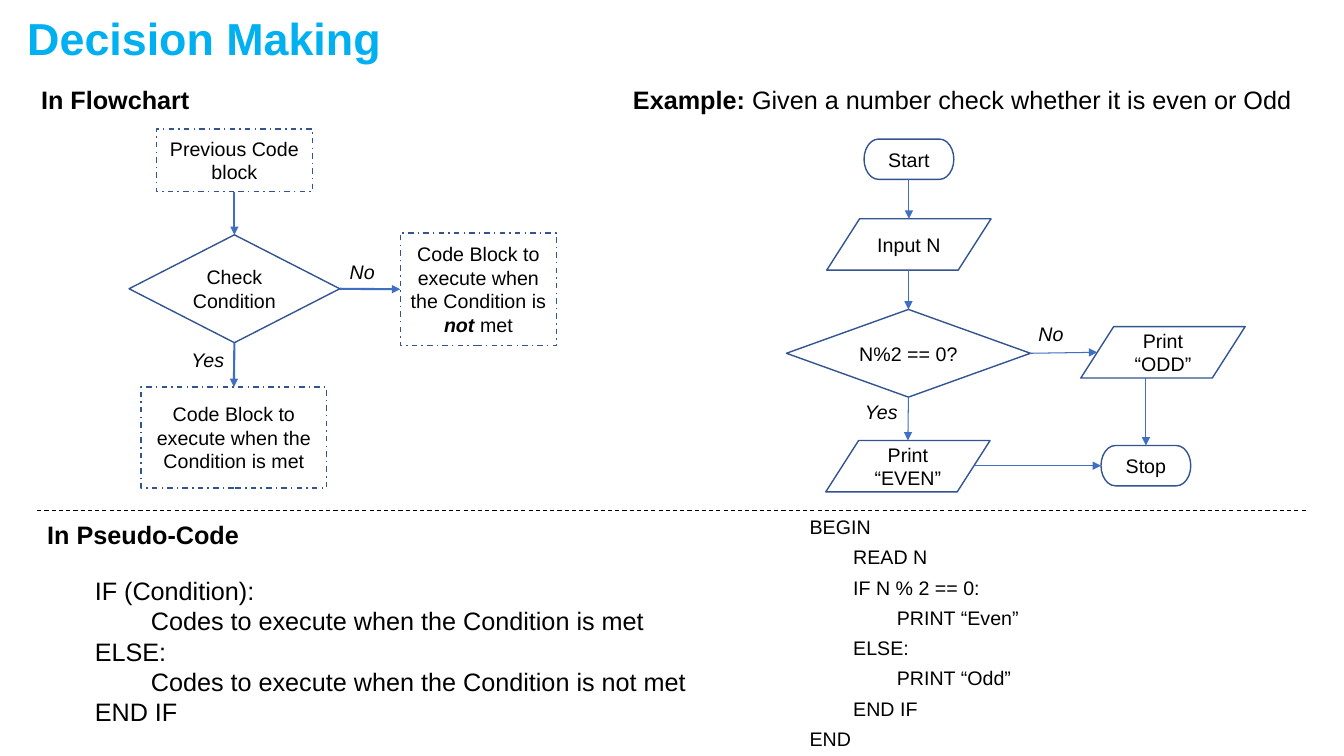
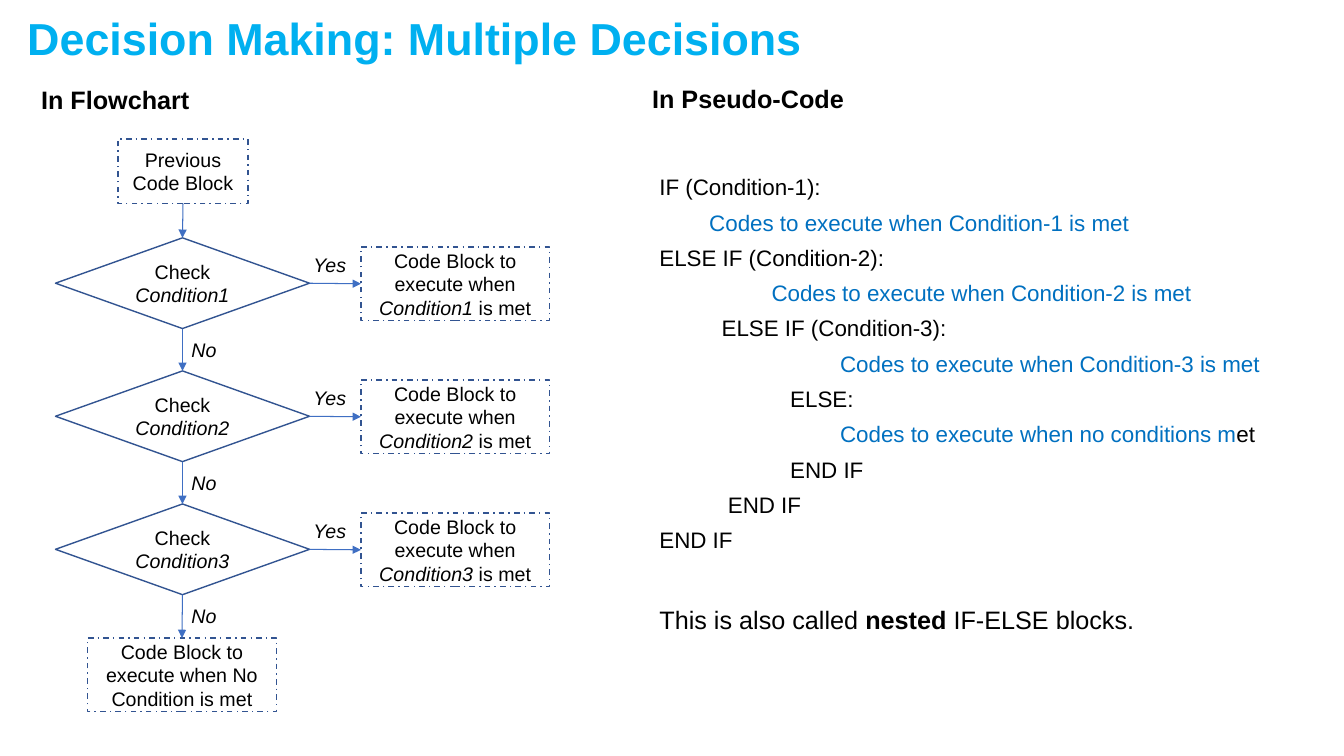
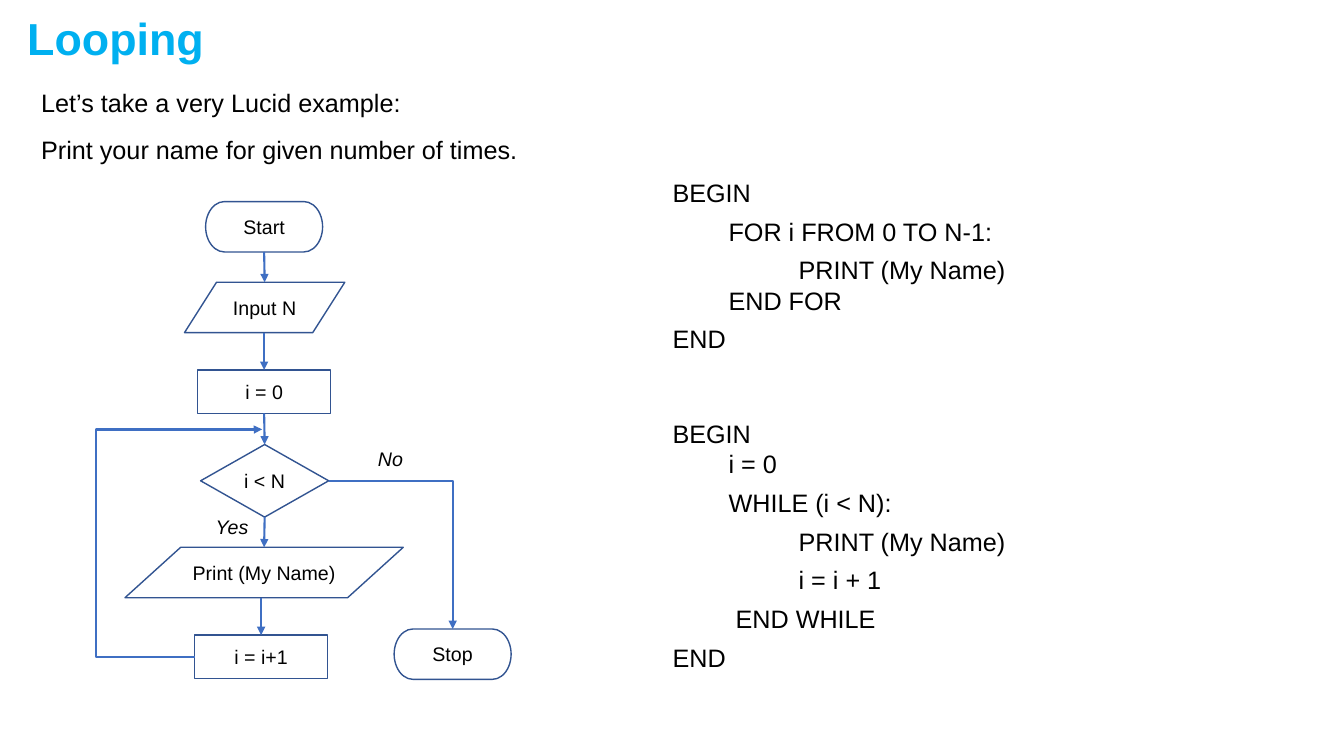
import pptx
import pptx.util
import pptx.dml.color
import pptx.enum.dml
import pptx.enum.shapes
import pptx.enum.text
import pptx.oxml
import lxml.etree

Inches = pptx.util.Inches
Pt = pptx.util.Pt
Kind = pptx.enum.shapes.MSO_SHAPE
Wire = pptx.enum.shapes.MSO_CONNECTOR
Dash = pptx.enum.dml.MSO_LINE
Align = pptx.enum.text.PP_ALIGN
Anchor = pptx.enum.text.MSO_ANCHOR
Fit = pptx.enum.text.MSO_AUTO_SIZE

FONT = "Arial"
BLACK, SKY, BLUE = "000000", "00B0F0", "0070C0"
EDGE, ARROW = "325491", "3F6FC3"
SPACE = 0.278
TOP, LEFT, BOTTOM, RIGHT = range(4)
SLANT = Kind.FLOWCHART_DATA
CHOICE = Kind.FLOWCHART_DECISION
PILL = Kind.FLOWCHART_TERMINATOR
RECT = Kind.RECTANGLE


def color(code):
    return pptx.dml.color.RGBColor.from_string(code)


def child(parent, tag, **attrs):
    node = lxml.etree.SubElement(parent, pptx.oxml.ns.qn(tag))
    for name, value in attrs.items():
        node.set(name, value)
    return node


def move(shape, x, y, w, h):
    shape.left, shape.top = Inches(x), Inches(y)
    shape.width, shape.height = Inches(w), Inches(h)


def fill_line(para, parts, size, align=Align.LEFT, tint=BLACK, bold=False, italic=False):
    para.alignment = align
    font = para.font
    font.name, font.size = FONT, Pt(size)
    font.bold, font.italic = bold, italic
    font.color.rgb = color(tint)
    for part in [parts] if isinstance(parts, str) else parts:
        text, marks = (part, "") if isinstance(part, str) else part
        run = para.add_run()
        run.text = text
        if "b" in marks:
            run.font.bold = True
        if "i" in marks:
            run.font.italic = True
        if "c" in marks:
            run.font.color.rgb = color(BLUE)


def add_text(slide, box, lines, size=18, gap=0, wrap=True, **style):
    shape = slide.shapes.add_textbox(*map(Inches, box))
    frame = shape.text_frame
    frame.word_wrap = wrap
    frame.auto_size = Fit.SHAPE_TO_FIT_TEXT
    for index, parts in enumerate(lines):
        para = frame.add_paragraph() if index else frame.paragraphs[0]
        para.space_before = Pt(gap if index else 0)
        fill_line(para, parts, size, **style)


def add_head(slide, x, y, text):
    add_text(slide, (x, y, 3.46, 0.4), [text], bold=True)


def add_code(slide, slot, box, rows, size=18, gap=0):
    shape = slide.placeholders[slot]
    move(shape, *box)
    frame = shape.text_frame
    frame.word_wrap = True
    frame.auto_size = Fit.NONE
    for index, (indent, parts, *own) in enumerate(rows):
        para = frame.add_paragraph() if index else frame.paragraphs[0]
        para.space_before = Pt(0 if not index else own[0] if own else gap)
        props = para._p.get_or_add_pPr()
        props.set("marL", str(int(Pt(indent * SPACE * size))))
        props.set("indent", "0")
        child(props, "a:buNone")
        fill_line(para, parts, size)


def new_slide(deck, text):
    slide = deck.slides.add_slide(deck.slide_layouts[3])
    title = slide.shapes.title
    move(title, 0.17, 0.06, 10.31, 0.64)
    title.text_frame.vertical_anchor = Anchor.TOP
    title.text_frame.auto_size = Fit.NONE
    fill_line(title.text_frame.paragraphs[0], text, 32, tint=SKY, bold=True)
    return slide


def style_wire(wire, tint, width):
    wire.line.color.rgb = color(tint)
    wire.line.width = Pt(width)
    child(wire._element.spPr, "a:effectLst")


def add_tip(wire):
    child(wire.line._get_or_add_ln(), "a:tailEnd", type="triangle")


def spot(shape, side):
    inset = shape.width // 10 if shape.auto_shape_type == SLANT else 0
    mid_x, mid_y = shape.left + shape.width // 2, shape.top + shape.height // 2
    return {
        TOP: (mid_x, shape.top),
        LEFT: (shape.left + inset, mid_y),
        BOTTOM: (mid_x, shape.top + shape.height),
        RIGHT: (shape.left + shape.width - inset, mid_y),
    }[side]


class Flow:
    def __init__(self, slide, x, y, width):
        self.slide, self.x, self.y, self.width = slide, x, y, width

    def node(self, kind, x, y, w, h, parts, dash=False):
        box = map(Inches, (self.x + x, self.y + y, w, h))
        shape = self.slide.shapes.add_shape(kind, *box)
        shape.shadow.inherit = False
        shape.fill.background()
        shape.line.color.rgb = color(EDGE)
        shape.line.width = Pt(1)
        if dash:
            shape.line.dash_style = Dash.DASH_DOT
        frame = shape.text_frame
        frame.word_wrap = True
        frame.vertical_anchor = Anchor.MIDDLE
        fill_line(frame.paragraphs[0], parts, 14, Align.CENTER)
        return shape

    def tag(self, x, y, text):
        width = 0.53 if text == "Yes" else 0.45
        box = (self.x + x, self.y + y, width, 0.34)
        add_text(self.slide, box, [text], 14, wrap=False, italic=True)

    def link(self, start, end, out=BOTTOM, into=TOP):
        x, y = spot(start, out)
        to_x, to_y = spot(end, into)
        if out == BOTTOM:
            x = to_x
        else:
            y = to_y
        wire = self.slide.shapes.add_connector(Wire.STRAIGHT, x, y, to_x, to_y)
        if start.auto_shape_type != SLANT:
            wire.begin_connect(start, out)
        if end.auto_shape_type != SLANT:
            wire.end_connect(end, into)
        style_wire(wire, ARROW, self.width)
        add_tip(wire)

    def bend(self, start, out, x, y, preset, **adjust):
        points = (*spot(start, out), Inches(self.x + x), Inches(self.y + y))
        wire = self.slide.shapes.add_connector(Wire.ELBOW, *points)
        wire.begin_connect(start, out)
        shape = wire._element.spPr.prstGeom
        shape.set("prst", preset)
        for name, value in adjust.items():
            child(shape.get_or_add_avLst(), "a:gd", name=name, fmla=f"val {value}")
        style_wire(wire, ARROW, self.width)
        add_tip(wire)
        return wire


def draw_branch(slide, x, y):
    flow = Flow(slide, x, y, 1.5)
    prev = flow.node(RECT, 0.27, 0, 1.55, 0.62, "Previous Code block", True)
    check = flow.node(CHOICE, 0, 1.05, 2.09, 1.07, "Check Condition")
    met = flow.node(RECT, 0.12, 2.56, 1.84, 1,
                    "Code Block to execute when the Condition is met", True)
    other = flow.node(RECT, 2.69, 1.03, 1.55, 1.12,
                      ["Code Block to execute when the Condition is ", ("not", "bi"), " met"], True)
    flow.link(prev, check)
    flow.link(check, met)
    flow.link(check, other, RIGHT, LEFT)
    flow.tag(0.52, 2.12, "Yes")
    flow.tag(2.09, 1.25, "No")


def draw_parity(slide, x, y):
    flow = Flow(slide, x, y, 0.75)
    start = flow.node(PILL, 0.77, 0, 0.89, 0.4, "Start")
    ask = flow.node(SLANT, 0.4, 0.79, 1.63, 0.51, "Input N")
    test = flow.node(CHOICE, 0, 1.69, 2.42, 0.87, "N%2 == 0?")
    even = flow.node(SLANT, 0.39, 2.99, 1.63, 0.51, "Print “EVEN”")
    odd = flow.node(SLANT, 2.92, 1.86, 1.63, 0.51, "Print “ODD”")
    stop = flow.node(PILL, 3.12, 3.04, 0.89, 0.4, "Stop")
    for above, below in ((start, ask), (ask, test), (test, even), (odd, stop)):
        flow.link(above, below)
    flow.link(test, odd, RIGHT, LEFT)
    flow.link(even, stop, RIGHT, LEFT)
    flow.tag(0.68, 2.54, "Yes")
    flow.tag(2.4, 1.76, "No")


def draw_chain(slide, x, y):
    flow = Flow(slide, x, y, 0.75)
    last = flow.node(RECT, 0.62, 0, 1.29, 0.64, "Previous Code Block", True)
    for index in range(3):
        top = 0.98 + 1.32 * index
        name = (f"Condition{index + 1}", "i")
        check = flow.node(CHOICE, 0, top, 2.52, 0.9, ["Check ", name])
        block = flow.node(RECT, 3.03, top + 0.09, 1.87, 0.73,
                          ["Code Block to execute when ", name, " is met"], True)
        flow.link(last, check)
        flow.link(check, block, RIGHT, LEFT)
        flow.tag(2.46, top + 0.1, "Yes")
        flow.tag(1.25, top + 0.94, "No")
        last = check
    none = flow.node(RECT, 0.32, 4.95, 1.87, 0.73,
                     "Code Block to execute when No Condition is met", True)
    flow.link(last, none)


def draw_loop(slide, x, y):
    flow = Flow(slide, x, y, 1.5)
    start = flow.node(PILL, 1.04, 0, 1.16, 0.5, "Start")
    ask = flow.node(SLANT, 0.83, 0.8, 1.59, 0.5, "Input N")
    zero = flow.node(RECT, 0.96, 1.67, 1.32, 0.43, "i = 0")
    test = flow.node(CHOICE, 0.99, 2.41, 1.27, 0.72, "i < N")
    show = flow.node(SLANT, 0.24, 3.43, 2.76, 0.5, "Print (My Name)")
    step = flow.node(RECT, 0.93, 4.3, 1.32, 0.43, "i = i+1")
    stop = flow.node(PILL, 2.91, 4.24, 1.16, 0.5, "Stop")
    chain = (start, ask, zero, test, show, step)
    for above, below in zip(chain, chain[1:]):
        flow.link(above, below)
    flow.bend(step, LEFT, 1.6, 2.26, "bentConnector4", adj1=-145700, adj2=99900)
    flow.bend(test, RIGHT, 3.49, 4.24, "bentConnector2").end_connect(stop, TOP)
    flow.tag(1.04, 3.06, "Yes")
    flow.tag(2.65, 2.38, "No")


def decision_slide(deck):
    slide = new_slide(deck, "Decision Making")
    add_head(slide, 0.31, 0.79, "In Flowchart")
    draw_branch(slide, 1.28, 1.28)
    add_head(slide, 0.37, 5.1, "In Pseudo-Code")
    add_code(slide, 1, (0.84, 5.66, 6.25, 1.62), [
        (0, "IF (Condition):"),
        (8, "Codes to execute when the Condition is met"),
        (0, "ELSE:"),
        (8, "Codes to execute when the Condition is not met"),
        (0, "END IF"),
    ])
    add_text(slide, (6.18, 0.79, 6.77, 0.4),
             [[("Example: ", "b"), "Given a number check whether it is even or Odd"]])
    draw_parity(slide, 7.8, 1.38)
    add_code(slide, 2, (7.93, 5.06, 3.8, 2.46), [
        (0, "BEGIN"),
        (8, "READ N"),
        (8, "IF N % 2 == 0:"),
        (16, "PRINT “Even”"),
        (8, "ELSE:"),
        (16, "PRINT “Odd”"),
        (8, "END IF"),
        (0, "END"),
    ], 14, 4.8)
    rule = slide.shapes.add_connector(Wire.STRAIGHT, *map(Inches, (0.37, 5.06, 12.95, 5.06)))
    style_wire(rule, BLACK, 0.75)
    rule.line.dash_style = Dash.DASH


def multiple_slide(deck):
    slide = new_slide(deck, "Decision Making: Multiple Decisions")
    add_head(slide, 0.31, 0.79, "In Flowchart")
    draw_chain(slide, 0.55, 1.38)
    add_head(slide, 6.37, 0.78, "In Pseudo-Code")
    add_code(slide, 1, (6.44, 1.67, 6.26, 3.9), [
        (0, "IF (Condition-1):"),
        (8, [("Codes to execute when Condition-1 is met", "c")]),
        (0, "ELSE IF (Condition-2):"),
        (18, [("Codes to execute when Condition-2 is met", "c")]),
        (10, "ELSE IF (Condition-3):"),
        (29, [("Codes to execute when Condition-3 is met", "c")]),
        (21, "ELSE:"),
        (29, [("Codes to execute when no conditions m", "c"), "et"]),
        (21, "END IF"),
        (11, "END IF"),
        (0, "END IF"),
    ], 16, 6)
    add_code(slide, 2, (6.44, 5.94, 5.85, 0.4),
             [(0, ["This is also called ", ("nested", "b"), " IF-ELSE blocks."])])


def looping_slide(deck):
    slide = new_slide(deck, "Looping")
    add_text(slide, (0.31, 0.82, 12.13, 0.88), [
        "Let’s take a very Lucid example:",
        "Print your name for given number of times.",
    ], gap=12)
    draw_loop(slide, 1, 2)
    add_code(slide, 1, (6.57, 1.71, 5.73, 1.87), [
        (0, "BEGIN"),
        (8, "FOR i FROM 0 TO N-1:"),
        (18, "PRINT (My Name)"),
        (8, "END FOR", 0),
        (0, "END"),
    ], gap=6)
    add_code(slide, 2, (6.57, 4.1, 5.73, 2.64), [
        (0, "BEGIN"),
        (8, "i = 0", 0),
        (8, "WHILE (i < N):"),
        (18, "PRINT (My Name)"),
        (18, "i = i + 1"),
        (9, "END WHILE"),
        (0, "END"),
    ], gap=6)


def main():
    deck = pptx.Presentation()
    deck.slide_width, deck.slide_height = Inches(13.33), Inches(7.5)
    decision_slide(deck)
    multiple_slide(deck)
    looping_slide(deck)
    deck.save("out.pptx")


if __name__ == "__main__":
    main()
